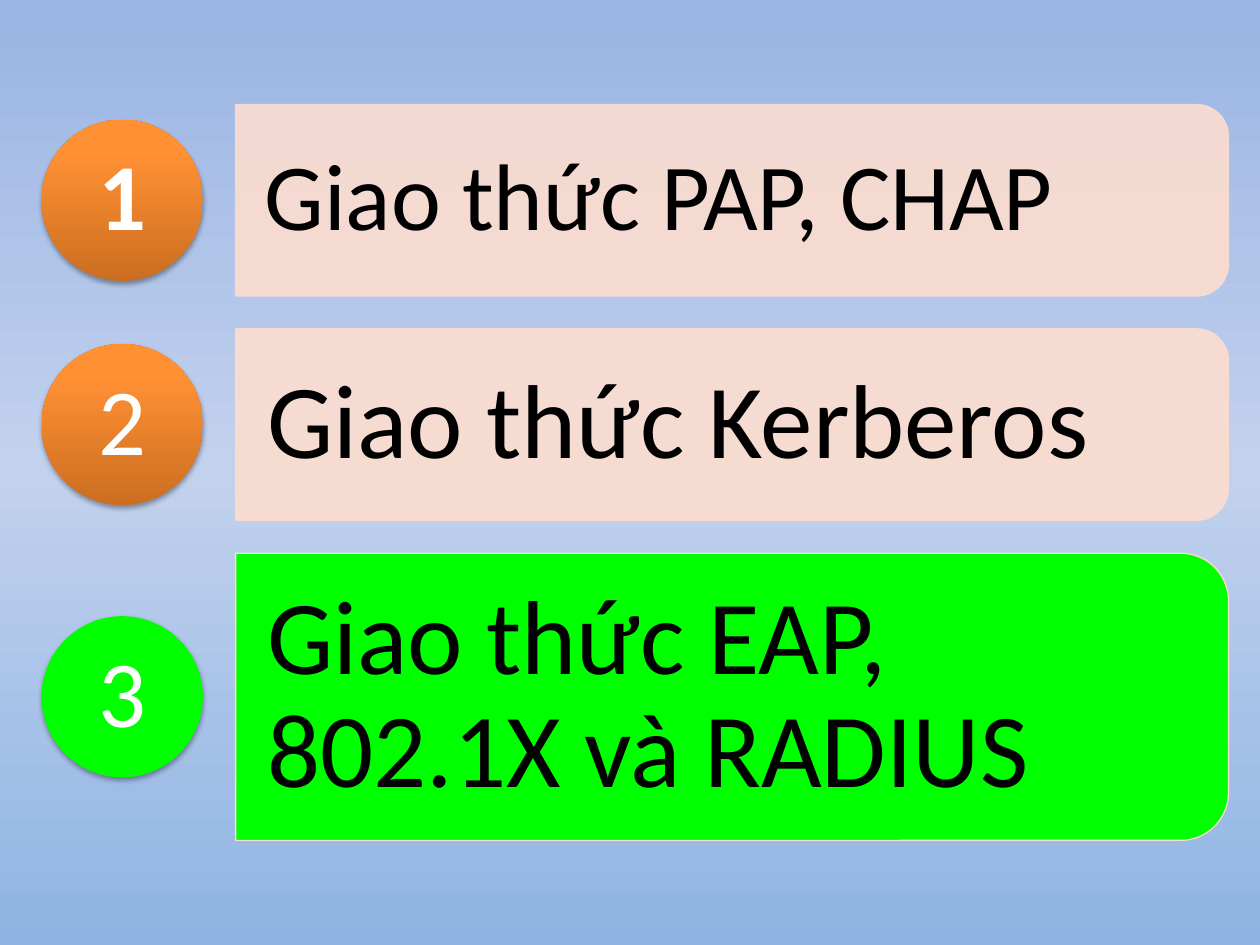
import pptx
import pptx.util
import pptx.dml.color
import pptx.enum.shapes
import pptx.enum.text
import pptx.oxml
import pptx.oxml.ns

SHAPE = pptx.enum.shapes.MSO_SHAPE
ALIGN = pptx.enum.text.PP_ALIGN
inch = pptx.util.Inches
qn = pptx.oxml.ns.qn
NS = 'xmlns:a="http://schemas.openxmlformats.org/drawingml/2006/main"'

PEACH, GREEN, BLACK, WHITE = "FCDDCF", "00FF00", "000000", "FFFFFF"
ORANGE = [(0, "CC6E20"), (80, "FF9034"), (100, "FF9136")]
SKY = [(0, "9AB5E4"), (50, "C2D1ED"), (100, "8EB4E3")]

LEFT, TOP, WIDTH, GAP = 0.33, 0.83, 9.42, 0.26
BADGE, BAR_X = 1.28, 1.54  # badge diameter, bar offset within a row


def rgb(value):
    return pptx.dml.color.RGBColor.from_string(value)


def gradient(fill, parent, stops, angle):
    fill.gradient()
    old = parent.find(".//" + qn("a:gradFill"))
    gs = "".join(f'<a:gs pos="{pos * 1000}"><a:srgbClr val="{color}"/></a:gs>'
                 for pos, color in stops)
    old.getparent().replace(old, pptx.oxml.parse_xml(
        f'<a:gradFill {NS} rotWithShape="1"><a:gsLst>{gs}</a:gsLst>'
        f'<a:lin ang="{angle * 60000}" scaled="0"/></a:gradFill>'))


def set_alpha(sp, percent):
    for color in sp._element.spPr.iter(qn("a:srgbClr")):
        color.append(pptx.oxml.parse_xml(f'<a:alpha {NS} val="{percent * 1000}"/>'))


def write(sp, text, size, color, align, inset=(0, 0), bold=False):
    tf = sp.text_frame
    tf.word_wrap = True
    tf.vertical_anchor = pptx.enum.text.MSO_ANCHOR.MIDDLE
    tf.margin_left = tf.margin_right = inch(inset[0])
    tf.margin_top = tf.margin_bottom = inch(inset[1])
    p = tf.paragraphs[0]
    p.text = text
    p.alignment, p.line_spacing = align, 0.9
    font = p.runs[0].font
    font.name, font.size, font.bold = "Calibri", pptx.util.Pt(size), bold
    font.color.rgb = rgb(color)


def add_bar(s, x, y, w, h, text, size, inset, active):
    # Bar turned a quarter so its rounded side faces right
    sp = s.shapes.add_shape(SHAPE.ROUND_2_SAME_RECTANGLE, inch(x + (w - h) / 2),
                            inch(y + (h - w) / 2), inch(h), inch(w))
    sp.rotation = 90
    sp.shadow.inherit = False
    sp.fill.solid()
    sp.fill.fore_color.rgb = rgb(GREEN if active else PEACH)
    sp.line.color.rgb = rgb(PEACH)
    sp.line.width = pptx.util.Pt(0.75)
    if not active:
        set_alpha(sp, 90)
    # Upright label, clear of the rounded corners
    pad = h / 6 * 0.29
    box = s.shapes.add_textbox(inch(x), inch(y + pad), inch(w - pad), inch(h - 2 * pad))
    write(box, text, size, BLACK, ALIGN.LEFT, inset)


def add_badge(s, x, y, d, number, active, bold):
    sp = s.shapes.add_shape(SHAPE.OVAL, inch(x), inch(y), inch(d), inch(d))
    if active:
        sp.fill.solid()
        sp.fill.fore_color.rgb = rgb(GREEN)
    else:
        gradient(sp.fill, sp._element.spPr, ORANGE, 270)
    sp.line.fill.background()
    # Soft shadow below the badge
    sp.shadow.inherit = False
    sp._element.spPr.find(qn("a:effectLst")).append(pptx.oxml.parse_xml(
        f'<a:outerShdw {NS} blurRad="{pptx.util.Pt(3.1)}" dist="{pptx.util.Pt(1.8)}" '
        'dir="5400000" rotWithShape="0"><a:srgbClr val="000000">'
        '<a:alpha val="35000"/></a:srgbClr></a:outerShdw>'))
    write(sp, str(number), 54, WHITE, ALIGN.CENTER, bold=bold)


def add_row(s, x, y, w, h, number, text, size, inset, active=False, bold=False):
    add_bar(s, x + BAR_X, y, w - BAR_X, h, text, size, inset, active)
    add_badge(s, x, y + (h - BADGE) / 2, BADGE, number, active, bold)


prs = pptx.Presentation()
prs.slide_width, prs.slide_height = inch(10), inch(7.5)
s = prs.slides.add_slide(prs.slide_layouts[6])
gradient(s.background.fill, s._element, SKY, 90)

# Agenda rows: height, text, size, inset, active, bold number
rows = [
    (1.52, "Giao thức PAP, CHAP", 54, (0.23, 0.15), False, True),
    (1.52, "Giao thức Kerberos", 60, (0.25, 0.17), False, False),
    (2.28, "Giao thức EAP, 802.1X và RADIUS", 60, (0.25, 0.17), True, False),
]
y = TOP
for number, (h, *content) in enumerate(rows, 1):
    add_row(s, LEFT, y, WIDTH, h, number, *content)
    y += h + GAP

prs.save("out.pptx")
